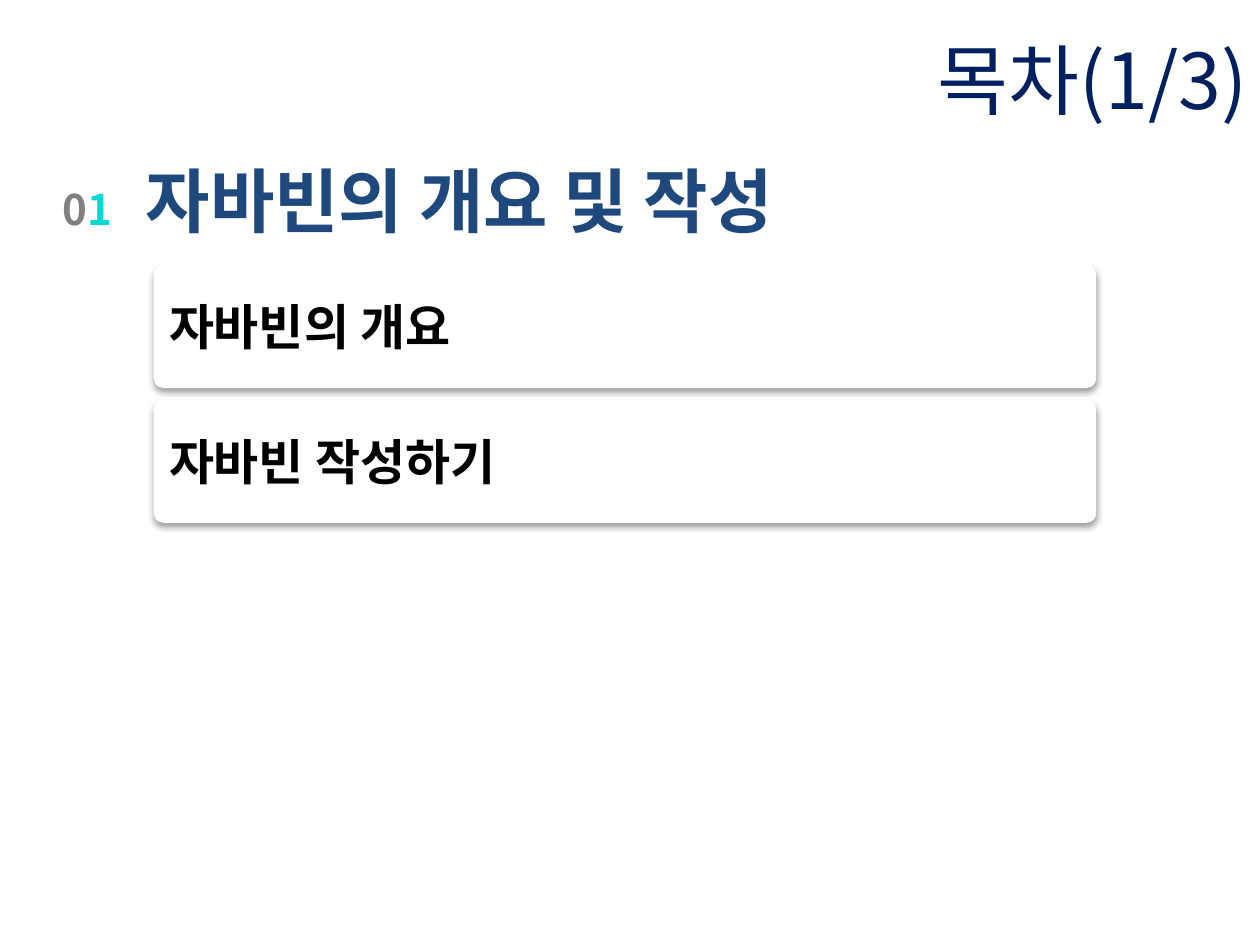
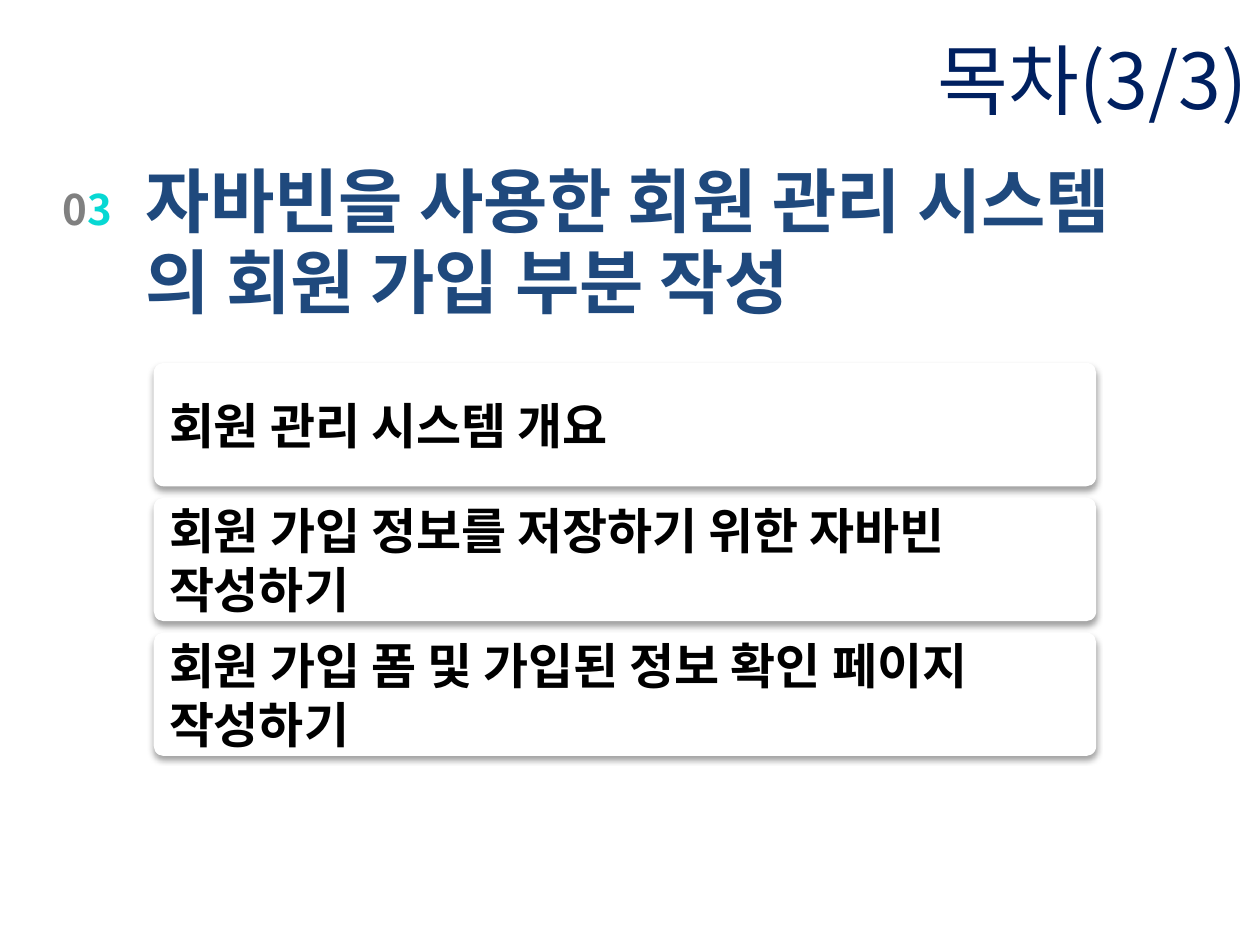
from lxml.etree import SubElement as Sub
from pptx import Presentation
from pptx.dml.color import RGBColor
from pptx.enum.shapes import MSO_SHAPE as Shape
from pptx.enum.text import MSO_ANCHOR as Anchor, PP_ALIGN as Align
from pptx.oxml.ns import qn
from pptx.util import Inches, Pt

FONT = "Noto Sans CJK KR"
NAVY = RGBColor(0x00, 0x20, 0x60)
BLUE = RGBColor(0x1F, 0x49, 0x7D)
GRAY = RGBColor(0x80, 0x80, 0x80)
CYAN = RGBColor(0x07, 0xD8, 0xD3)
BLACK = RGBColor(0, 0, 0)
WHITE = RGBColor(0xFF, 0xFF, 0xFF)
STEP = 1.07


def style(run, size, color, bold=True):
    font = run.font
    font.size, font.bold, font.name = Pt(size), bold, FONT
    font.color.rgb = color
    Sub(run._r.get_or_add_rPr(), qn("a:ea"), typeface=FONT)


def fill_text(frame, text, size, color, align, bold=True):
    frame.text = text
    para = frame.paragraphs[0]
    para.alignment = align
    for run in para.runs:
        style(run, size, color, bold)
    return para


def add_title(slide, text):
    title = slide.shapes.title
    title.left = title.top = 0
    title.width, title.height = Inches(10), Inches(1.25)
    frame = title.text_frame
    frame.vertical_anchor = Anchor.MIDDLE
    fill_text(frame, text, 44, NAVY, Align.RIGHT, False)


def add_box(slide, left, top, width, height):
    place = map(Inches, (left, top, width, height))
    return slide.shapes.add_textbox(*place).text_frame


def add_head(slide, text, width, height):
    frame = add_box(slide, 1.06, 1.23, width, height)
    frame.word_wrap = False
    para = fill_text(frame, text, 40, BLUE, Align.LEFT)
    para.line_spacing = Pt(46)


def add_number(slide, digit):
    frame = add_box(slide, 0.34, 1.41, 0.71, 0.5)
    frame.word_wrap = True
    para = fill_text(frame, "0", 24, GRAY, Align.CENTER)
    run = para.add_run()
    run.text = digit
    style(run, 24, CYAN)


def add_shadow(shape):
    shape.shadow.inherit = False
    effects = shape._element.spPr.find(qn("a:effectLst"))
    outer = Sub(effects, qn("a:outerShdw"), blurRad=str(Pt(3.5)),
                dist=str(Pt(2.2)), dir="5400000", rotWithShape="0")
    color = Sub(outer, qn("a:srgbClr"), val=str(BLACK))
    Sub(color, qn("a:alpha"), val="36000")


def add_card(slide, top, text):
    place = map(Inches, (1.22, top, 7.48, 0.98))
    card = slide.shapes.add_shape(Shape.ROUNDED_RECTANGLE, *place)
    card.adjustments[0] = 0.08
    card.fill.solid()
    card.fill.fore_color.rgb = WHITE
    card.line.fill.background()
    add_shadow(card)
    frame = card.text_frame
    frame.word_wrap = True
    frame.vertical_anchor = Anchor.MIDDLE
    fill_text(frame, text, 28, BLACK, Align.LEFT)


def add_agenda(deck, digit, head, size, top, topics):
    slide = deck.slides.add_slide(deck.slide_layouts[5])
    add_title(slide, f"목차({digit}/3)")
    add_head(slide, head, *size)
    add_number(slide, digit)
    for row, topic in enumerate(topics):
        add_card(slide, top + row * STEP, topic)


def main():
    deck = Presentation()
    deck.slide_width, deck.slide_height = Inches(10), Inches(7.5)
    add_agenda(deck, "1", "자바빈의 개요 및 작성", (5.85, 0.75), 2.1,
               ["자바빈의 개요", "자바빈 작성하기"])
    add_agenda(deck, "3", "자바빈을 사용한 회원 관리 시스템\v의 회원 가입 부분 작성",
               (8.85, 1.39), 2.88,
               ["회원 관리 시스템 개요",
                "회원 가입 정보를 저장하기 위한 자바빈\v작성하기",
                "회원 가입 폼 및 가입된 정보 확인 페이지\v작성하기"])
    deck.save("out.pptx")


if __name__ == "__main__":
    main()
